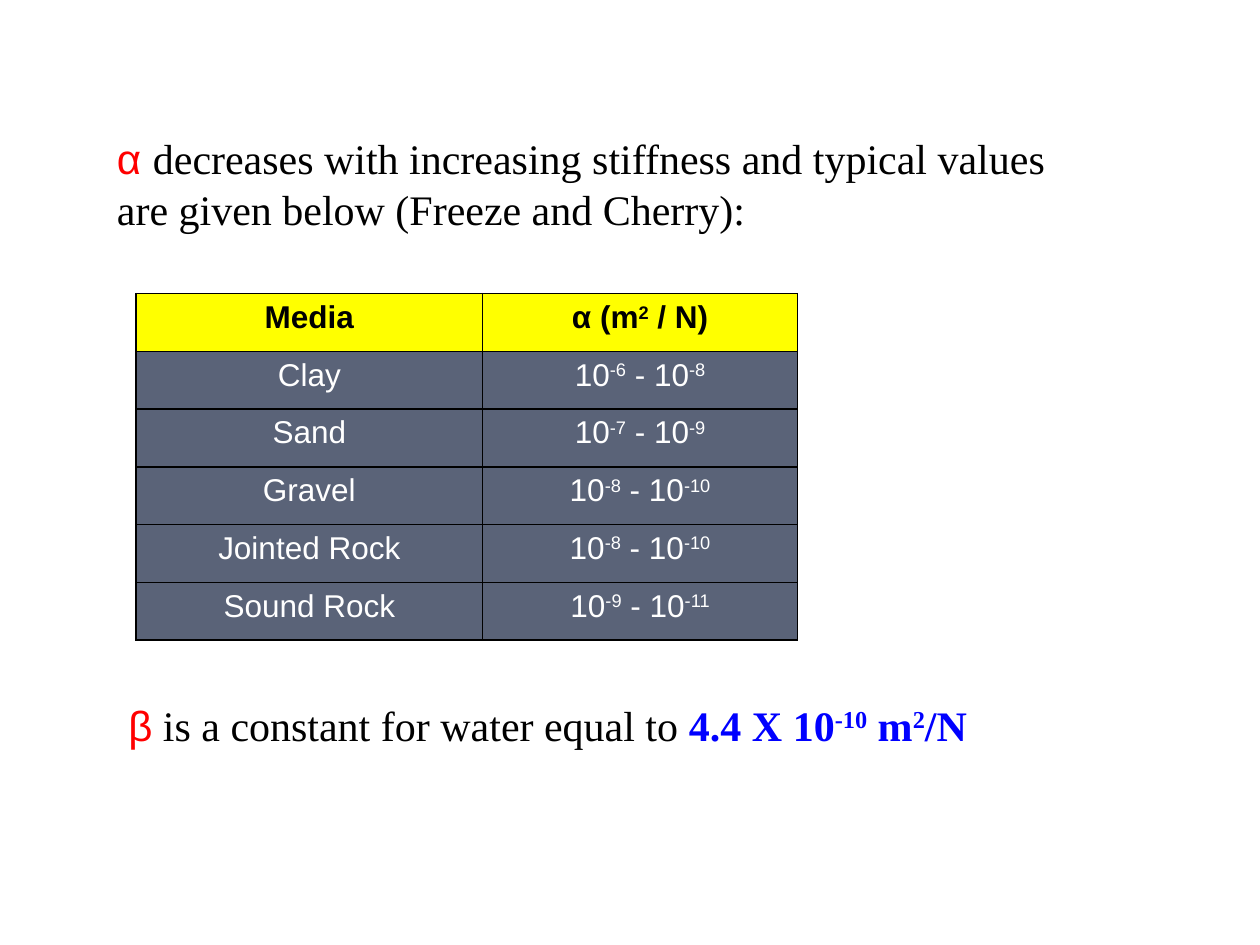
from dataclasses import dataclass

from lxml.etree import SubElement
from pptx import Presentation
from pptx.dml.color import RGBColor
from pptx.enum.text import MSO_ANCHOR, MSO_AUTO_SIZE, PP_ALIGN
from pptx.oxml.ns import qn
from pptx.util import Inches, Pt


@dataclass(frozen=True)
class Theme:
    """Colours, fonts and type sizes of the slide."""
    black: str = "000000"
    white: str = "FFFFFF"
    symbol: str = "FF0000"
    value: str = "0000FF"
    header: str = "FFFF00"
    body: str = "5A6378"
    sans: str = "Arial"
    serif: str = "Times New Roman"
    text_size: int = 24
    table_size: int = 18
    border: int = 1


THEME = Theme()

MEDIA = [
    ("Media", "α (m^2^ / N)"),
    ("Clay", "10^-6^ - 10^-8^"),
    ("Sand", "10^-7^ - 10^-9^"),
    ("Gravel", "10^-8^ - 10^-10^"),
    ("Jointed Rock", "10^-8^ - 10^-10^"),
    ("Sound Rock", "10^-9^ - 10^-11^"),
]


def add_runs(p, text, font, size, color, bold=False):
    """Add runs to a paragraph, raising the parts written between carets."""
    for i, part in enumerate(text.split("^")):
        if not part:
            continue
        r = p.add_run()
        r.text = part
        r.font.name = font
        r.font.size = Pt(size)
        r.font.bold = bold
        r.font.color.rgb = RGBColor.from_string(color)
        if i % 2:
            r.font._element.set("baseline", "30000")


def add_statement(s, left, top, width, height, parts, wrap):
    """Add a text box made of (text, font, colour, bold) parts."""
    box = s.shapes.add_textbox(Inches(left), Inches(top), Inches(width), Inches(height))
    tf = box.text_frame
    tf.word_wrap = wrap
    tf.auto_size = MSO_AUTO_SIZE.SHAPE_TO_FIT_TEXT
    tf.vertical_anchor = MSO_ANCHOR.MIDDLE
    for text, font, color, bold in parts:
        add_runs(tf.paragraphs[0], text, font, THEME.text_size, color, bold)


def add_borders(cell):
    """Draw a thin line on each side of a table cell."""
    tcPr = cell._tc.get_or_add_tcPr()
    for side in ("lnL", "lnR", "lnT", "lnB"):
        ln = SubElement(tcPr, qn(f"a:{side}"), w=str(Pt(THEME.border)))
        fill = SubElement(ln, qn("a:solidFill"))
        SubElement(fill, qn("a:srgbClr"), val=THEME.black)


def add_media_table(s, left, top, widths, height, rows):
    """Add the bordered table with a highlighted header row."""
    table = s.shapes.add_table(len(rows), len(widths), Inches(left), Inches(top),
                               Inches(sum(widths)), Inches(height)).table
    for column, width in zip(table.columns, widths):
        column.width = Inches(width)
    for i, row in enumerate(rows):
        header = i == 0
        for j, text in enumerate(row):
            cell = table.cell(i, j)
            add_borders(cell)
            cell.fill.solid()
            cell.fill.fore_color.rgb = RGBColor.from_string(
                THEME.header if header else THEME.body)
            p = cell.text_frame.paragraphs[0]
            p.alignment = PP_ALIGN.CENTER
            add_runs(p, text, THEME.sans, THEME.table_size,
                     THEME.black if header else THEME.white, header)


def main():
    """Build and save the slide."""
    prs = Presentation()
    prs.slide_width, prs.slide_height = Inches(10), Inches(7.5)
    s = prs.slides.add_slide(prs.slide_layouts[6])
    add_statement(s, 0.83, 1, 7.7, 0.91, [
        ("α ", THEME.sans, THEME.symbol, False),
        ("decreases with increasing stiffness and typical values are given below "
         "(Freeze and Cherry):", THEME.serif, THEME.black, False),
    ], wrap=True)
    add_media_table(s, 1.08, 2.33, (2.75, 2.5), 2.75, MEDIA)
    add_statement(s, 0.92, 5.5, 6.96, 0.5, [
        ("β", THEME.sans, THEME.symbol, False),
        (" is a constant for water equal to ", THEME.serif, THEME.black, False),
        ("4.4 X 10^-10^ m^2^/N", THEME.serif, THEME.value, True),
    ], wrap=False)
    prs.save("out.pptx")


if __name__ == "__main__":
    main()
